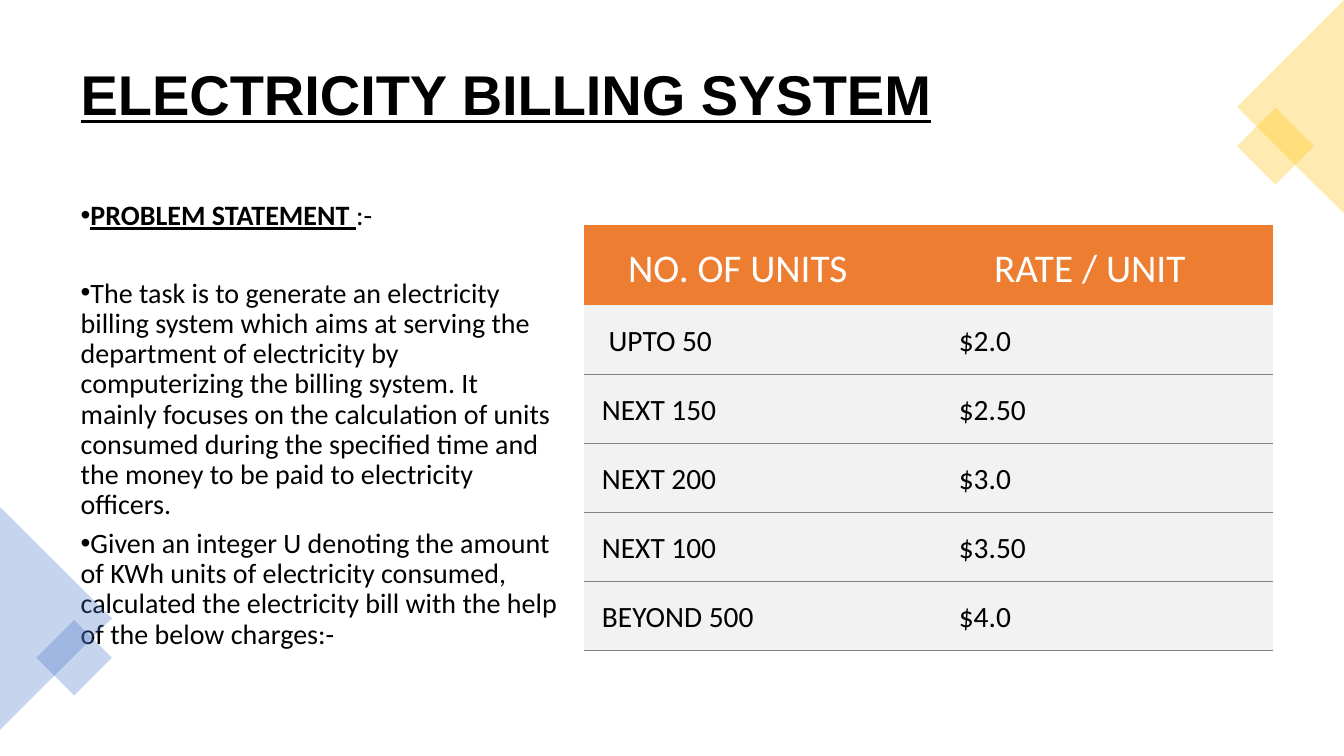
from dataclasses import dataclass
from typing import Any

from lxml.etree import SubElement
from pptx import Presentation
from pptx.dml.color import RGBColor
from pptx.enum.shapes import MSO_SHAPE as Preset
from pptx.enum.text import MSO_ANCHOR as Anchor, MSO_AUTO_SIZE as AutoSize, PP_ALIGN as Align
from pptx.oxml import parse_xml
from pptx.oxml.ns import nsdecls, qn
from pptx.util import Inches, Pt

BLACK = RGBColor(0x00, 0x00, 0x00)
WHITE = RGBColor(0xFF, 0xFF, 0xFF)
BLUE = RGBColor(0x44, 0x72, 0xC4)
GOLD = RGBColor(0xFF, 0xC0, 0x00)
ORANGE = RGBColor(0xED, 0x7D, 0x31)
PALE_GRAY = RGBColor(0xF2, 0xF2, 0xF2)
RULE_GRAY = RGBColor(0x80, 0x80, 0x80)

NO_STYLE = "{2D5ABB26-0587-4C30-8999-92F81FD0307C}"
TITLE_BOX = (0.7, 0.35, 11.93, 1.24)
BODY_BOX = (0.7, 1.95, 4.94, 5.11)
TABLE_BOX = (5.79, 2.23, 6.84, 4.22)
COLUMN_WIDTHS = (3.54, 3.3)
HEADER_HEIGHT = 0.8
CELL_INSET = 0.18

TITLE_FONT = {"name": "Arial", "size": Pt(40), "bold": True, "underline": True}
BODY_FONT = {"name": "Calibri", "size": Pt(20), "bold": False, "underline": False}
HEADING_FONT = BODY_FONT | {"bold": True, "underline": True}
HEADER_FONT = {"name": "Calibri", "size": Pt(28), "bold": False}
RATE_FONT = {"name": "Calibri", "size": Pt(21), "bold": False}


@dataclass
class Ornament:
    preset: Preset
    box: tuple[float, float, float, float]
    rotation: int
    color: RGBColor


@dataclass
class Bullet:
    spans: list[tuple[str, dict[str, Any]]]
    space_after: float = 6


ORNAMENTS = [
    Ornament(Preset.ISOSCELES_TRIANGLE, (-0.55, 5.58, 2.21, 1.11), 90, BLUE),
    Ornament(Preset.RECTANGLE, (0.47, 6.26, 0.53, 0.53), 45, BLUE),
    Ornament(Preset.RECTANGLE, (12.38, 1.18, 0.54, 0.54), 45, GOLD),
    Ornament(Preset.ISOSCELES_TRIANGLE, (11.74, 0.53, 2.12, 1.06), 270, GOLD),
]
BULLETS = [
    Bullet([("PROBLEM STATEMENT ", HEADING_FONT), (":-", BODY_FONT)], space_after=33.6),
    Bullet([("The task is to generate an electricity billing system which aims at serving "
             "the department of electricity by computerizing the billing system. It mainly "
             "focuses on the calculation of units consumed during the specified time and "
             "the money to be paid to electricity officers.", BODY_FONT)]),
    Bullet([("Given an integer U denoting the amount of KWh units of electricity consumed, "
             "calculated the electricity bill with the help of the below charges:-", BODY_FONT)]),
]
HEADERS = [("NO. OF UNITS", 0.44), ("RATE / UNIT", 0.53)]
RATES = [
    (" UPTO 50", "$2.0"),
    ("NEXT 150", "$2.50"),
    ("NEXT 200", "$3.0"),
    ("NEXT 100", "$3.50"),
    ("BEYOND 500", "$4.0"),
]


def add_span(para, text: str, font: dict[str, Any], color: RGBColor = BLACK) -> None:
    span = para.add_run()
    span.text = text
    for name, value in font.items():
        setattr(span.font, name, value)
    span.font.color.rgb = color


def format_para(para, space_after: float = 6) -> None:
    layout = {"alignment": Align.LEFT, "line_spacing": 0.9,
              "space_before": Pt(0), "space_after": Pt(space_after)}
    for name, value in layout.items():
        setattr(para, name, value)


def prepare_placeholder(holder, box: tuple[float, ...], anchor: Anchor):
    """Move a placeholder, reset its frame and return the frame."""
    holder.left, holder.top, holder.width, holder.height = map(Inches, box)
    frame = holder.text_frame
    settings = {"word_wrap": True, "auto_size": AutoSize.NONE, "vertical_anchor": anchor}
    for name, value in settings.items():
        setattr(frame, name, value)
    return frame


def fill_title(page) -> None:
    para = prepare_placeholder(page.shapes.title, TITLE_BOX, Anchor.MIDDLE).paragraphs[0]
    format_para(para)
    add_span(para, "ELECTRICITY BILLING SYSTEM", TITLE_FONT)


def fill_body(page) -> None:
    frame = prepare_placeholder(page.placeholders[1], BODY_BOX, Anchor.TOP)
    for index, bullet in enumerate(BULLETS):
        para = frame.add_paragraph() if index else frame.paragraphs[0]
        format_para(para, bullet.space_after)
        props = para._p.get_or_add_pPr()
        props.set("marL", "0")
        props.set("indent", str(-Inches(0.25)))
        SubElement(props, qn("a:buFont"), typeface="Arial")
        SubElement(props, qn("a:buChar"), char="•")
        for text, font in bullet.spans:
            add_span(para, text, font)


def add_ornament(page, ornament: Ornament) -> None:
    shape = page.shapes.add_shape(ornament.preset, *map(Inches, ornament.box))
    shape.rotation = ornament.rotation
    shape.shadow.inherit = False
    shape.line.fill.background()
    shape.fill.solid()
    shape.fill.fore_color.rgb = ornament.color
    color = shape._element.spPr.find(f"{qn('a:solidFill')}/{qn('a:srgbClr')}")
    SubElement(color, qn("a:alpha"), val="30000")


def fill_cell(cell, text: str, font: dict[str, Any], color: RGBColor, fill: RGBColor,
              anchor: Anchor, left: float = CELL_INSET) -> None:
    settings = {"margin_left": Inches(left), "margin_top": Inches(CELL_INSET),
                "margin_right": Inches(CELL_INSET), "margin_bottom": Inches(0.09),
                "vertical_anchor": anchor}
    for name, value in settings.items():
        setattr(cell, name, value)
    cell.fill.solid()
    cell.fill.fore_color.rgb = fill
    add_span(cell.text_frame.paragraphs[0], text, font, color)


def add_bottom_rule(cell) -> None:
    rule = parse_xml(
        f'<a:lnB {nsdecls("a")} w="{Pt(0.75)}"><a:solidFill>'
        f'<a:srgbClr val="{RULE_GRAY}"/></a:solidFill></a:lnB>')
    cell._tc.get_or_add_tcPr().insert(0, rule)


def add_rate_table(page) -> None:
    table = page.shapes.add_table(
        len(RATES) + 1, len(COLUMN_WIDTHS), *map(Inches, TABLE_BOX)).table
    table._tbl.tblPr.find(qn("a:tableStyleId")).text = NO_STYLE
    for column, width in zip(table.columns, COLUMN_WIDTHS):
        column.width = Inches(width)
    row_height = (TABLE_BOX[3] - HEADER_HEIGHT) / len(RATES)
    for index, row in enumerate(table.rows):
        row.height = Inches(row_height if index else HEADER_HEIGHT)

    for column, (text, left) in enumerate(HEADERS):
        fill_cell(table.cell(0, column), text, HEADER_FONT, WHITE, ORANGE, Anchor.MIDDLE, left)
    for row, rate in enumerate(RATES, start=1):
        for column, text in enumerate(rate):
            cell = table.cell(row, column)
            fill_cell(cell, text, RATE_FONT, BLACK, PALE_GRAY, Anchor.TOP)
            add_bottom_rule(cell)


def main() -> None:
    deck = Presentation()
    deck.slide_width, deck.slide_height = Inches(13.33), Inches(7.5)
    page = deck.slides.add_slide(deck.slide_layouts[1])
    fill_title(page)
    fill_body(page)
    for ornament in ORNAMENTS:
        add_ornament(page, ornament)
    add_rate_table(page)
    deck.save("out.pptx")


if __name__ == "__main__":
    main()
